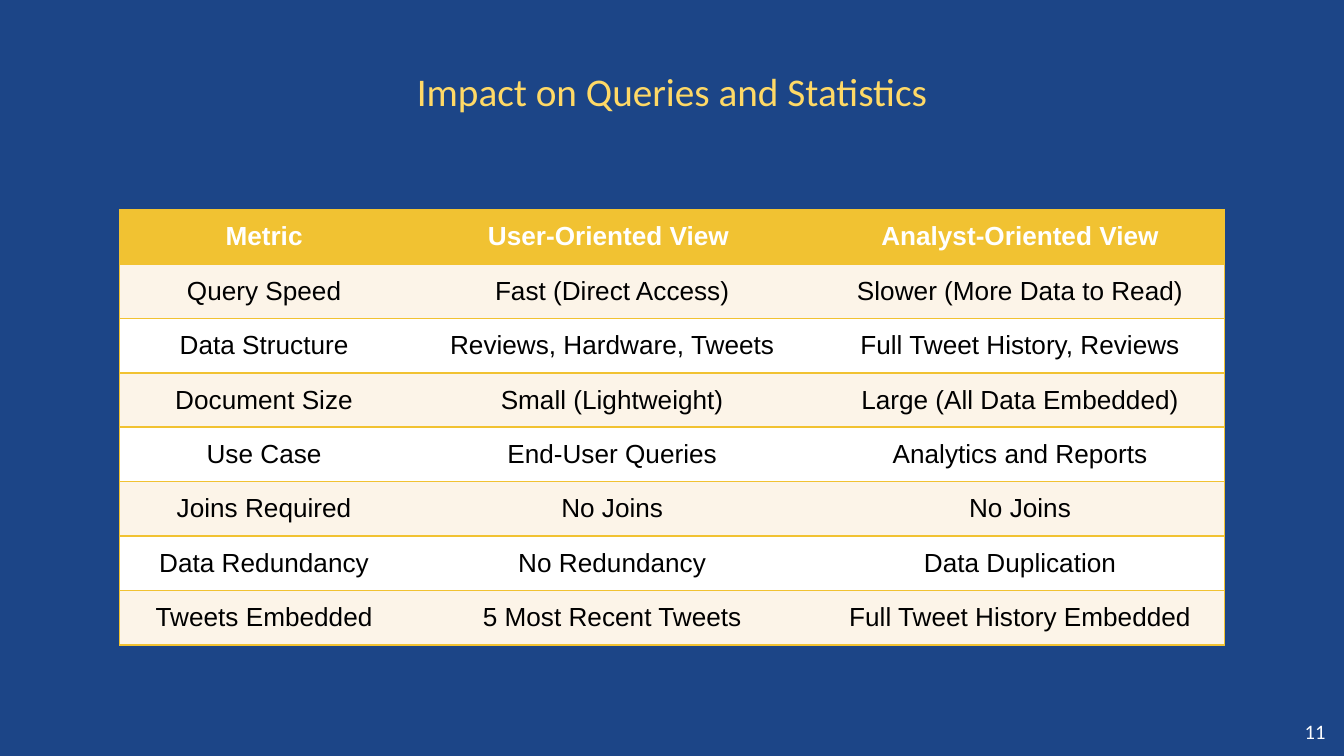
from dataclasses import dataclass

from lxml.etree import SubElement
from pptx import Presentation
from pptx.dml.color import RGBColor
from pptx.enum.text import MSO_ANCHOR, PP_ALIGN
from pptx.oxml.ns import qn
from pptx.slide import Slide
from pptx.table import _Cell
from pptx.text.text import _Paragraph
from pptx.util import Inches, Pt

NAVY = RGBColor(0x1C, 0x45, 0x87)
PALE_GOLD = RGBColor(0xFF, 0xD9, 0x66)
GOLD = RGBColor(0xF1, 0xC2, 0x32)
CREAM = RGBColor(0xFC, 0xF4, 0xE8)
WHITE = RGBColor(0xFF, 0xFF, 0xFF)
BLACK = RGBColor(0x00, 0x00, 0x00)

COL_WIDTHS = (2.15, 3.03, 3.04)
TABLE_HEIGHT = 3.24
ROWS = (
    ("Metric", "User-Oriented View ", "Analyst-Oriented View"),
    ("Query Speed", "Fast (Direct Access)", "Slower (More Data to Read)"),
    ("Data Structure", "Reviews, Hardware, Tweets", "Full Tweet History, Reviews"),
    ("Document Size", "Small (Lightweight)", "Large (All Data Embedded)"),
    ("Use Case", "End-User Queries", "Analytics and Reports"),
    ("Joins Required", "No Joins", "No Joins"),
    ("Data Redundancy", "No Redundancy", "Data Duplication"),
    ("Tweets Embedded", "5 Most Recent Tweets", "Full Tweet History Embedded"),
)


@dataclass(frozen=True)
class TextStyle:
    font: str
    size: float
    color: RGBColor
    bold: bool = False


@dataclass(frozen=True)
class Label:
    text: str
    left: float
    top: float
    width: float
    height: float
    anchor: MSO_ANCHOR
    style: TextStyle


LABELS = (
    Label("Impact on Queries and Statistics", 0.34, 0.32, 9.32, 0.63,
          MSO_ANCHOR.BOTTOM, TextStyle("Calibri", 21, PALE_GOLD)),
    Label("11", 9.57, 5.26, 0.43, 0.37,
          MSO_ANCHOR.MIDDLE, TextStyle("Calibri", 11, WHITE)),
)
HEADER_STYLE = TextStyle("Arial", 14, WHITE, bold=True)
BODY_STYLE = TextStyle("Arial", 14, BLACK)


def add_centered_run(p: _Paragraph, text: str, style: TextStyle) -> None:
    p.alignment = PP_ALIGN.CENTER
    r = p.add_run()
    r.text = text
    r.font.name = style.font
    r.font.size = Pt(style.size)
    r.font.bold = style.bold
    r.font.color.rgb = style.color


def add_label(s: Slide, label: Label) -> None:
    sp = s.shapes.add_textbox(Inches(label.left), Inches(label.top),
                              Inches(label.width), Inches(label.height))
    tf = sp.text_frame
    tf.word_wrap = True
    tf.vertical_anchor = label.anchor
    tf.margin_left = tf.margin_right = Inches(0.1)
    tf.margin_top = tf.margin_bottom = Inches(0.1)
    add_centered_run(tf.paragraphs[0], label.text, label.style)


def set_borders(cell: _Cell, sides: str) -> None:
    """Draw gold lines on the given sides (L, R, T, B) and none elsewhere."""
    tc_pr = cell._tc.get_or_add_tcPr()
    for side in "LRTB":
        ln = SubElement(tc_pr, qn(f"a:ln{side}"), w=str(Pt(1)))
        if side in sides:
            fill = SubElement(ln, qn("a:solidFill"))
            SubElement(fill, qn("a:srgbClr"), val=str(GOLD))
        else:
            SubElement(ln, qn("a:noFill"))


def add_comparison_table(s: Slide, left: float, top: float) -> None:
    table = s.shapes.add_table(
        len(ROWS), len(COL_WIDTHS), Inches(left), Inches(top),
        Inches(sum(COL_WIDTHS)), Inches(TABLE_HEIGHT)).table
    table.horz_banding = False
    for column, width in zip(table.columns, COL_WIDTHS):
        column.width = Inches(width)
    outer_sides = {0: "L", len(COL_WIDTHS) - 1: "R"}
    for i, texts in enumerate(ROWS):
        row_fill = GOLD if i == 0 else CREAM if i % 2 else WHITE
        for j, text in enumerate(texts):
            cell = table.cell(i, j)
            set_borders(cell, "TB" + outer_sides.get(j, ""))
            cell.fill.solid()
            cell.fill.fore_color.rgb = row_fill
            cell.vertical_anchor = MSO_ANCHOR.MIDDLE
            add_centered_run(cell.text_frame.paragraphs[0], text,
                             BODY_STYLE if i else HEADER_STYLE)


def main() -> None:
    prs = Presentation()
    prs.slide_width = Inches(10)
    prs.slide_height = Inches(10 * 9 / 16)
    s = prs.slides.add_slide(prs.slide_layouts[6])
    s.background.fill.solid()
    s.background.fill.fore_color.rgb = NAVY
    add_comparison_table(s, 0.89, 1.56)
    for label in LABELS:
        add_label(s, label)
    prs.save("out.pptx")


if __name__ == "__main__":
    main()
